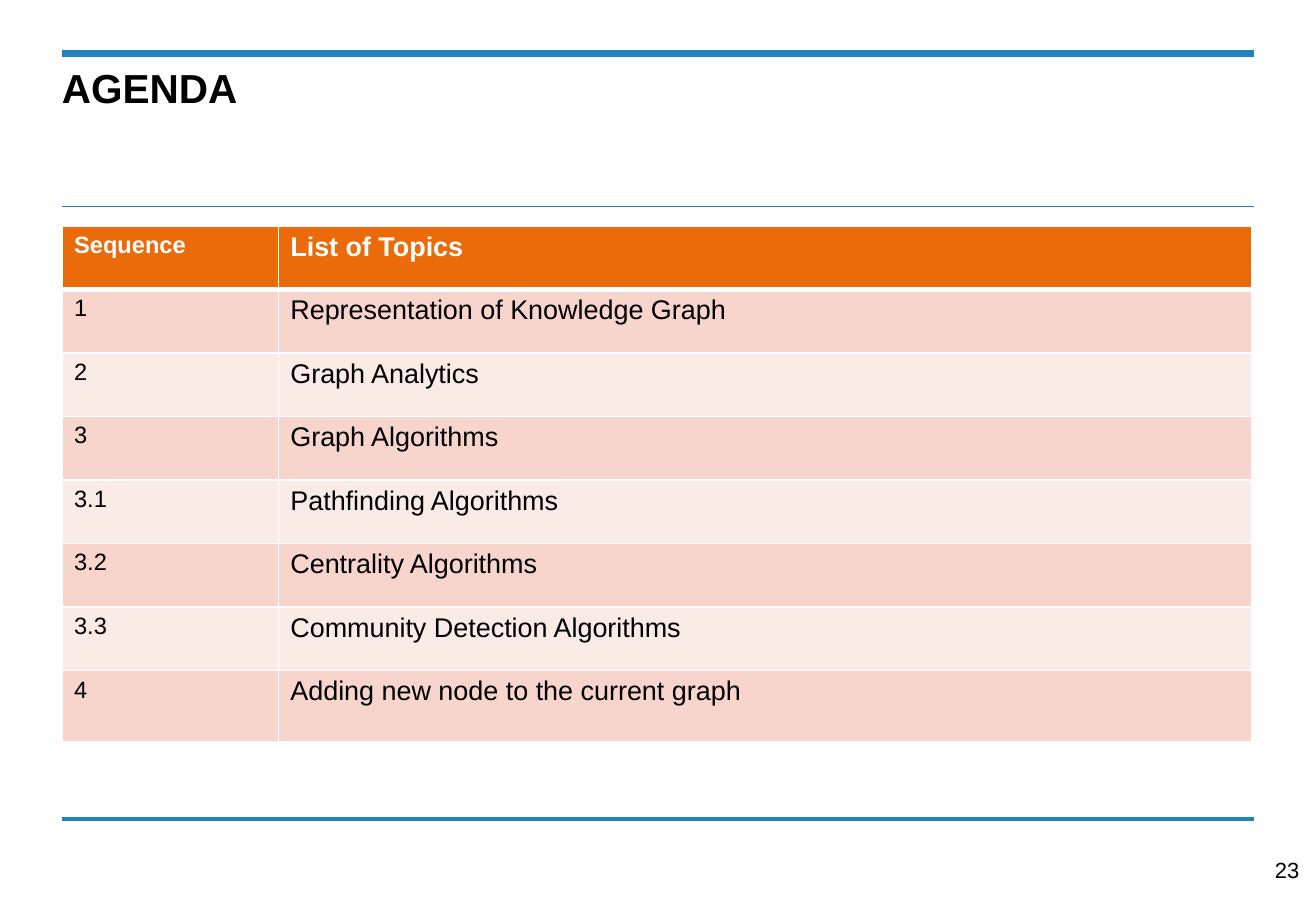
from pptx import Presentation
from pptx.dml.color import RGBColor
from pptx.enum.shapes import MSO_CONNECTOR as Link
from pptx.enum.text import MSO_ANCHOR as Anchor, PP_ALIGN as Align
from pptx.oxml.ns import qn
from pptx.util import Inches, Pt
from lxml.etree import SubElement

BLUE = RGBColor(0x22, 0x82, 0xC0)
ORANGE = RGBColor(0xEB, 0x6A, 0x0A)
ROSE = RGBColor(0xF7, 0xD4, 0xCC)
PALE = RGBColor(0xFB, 0xEB, 0xE7)
WHITE = RGBColor(0xFF, 0xFF, 0xFF)
BLACK = RGBColor(0, 0, 0)

TOPICS = [
    ("Sequence", "List of Topics"),
    ("1", "Representation of Knowledge Graph"),
    ("2", "Graph Analytics"),
    ("3", "Graph Algorithms"),
    ("3.1", "Pathfinding Algorithms"),
    ("3.2", "Centrality Algorithms"),
    ("3.3", "Community Detection Algorithms"),
    ("4", "Adding new node to the current graph"),
]


def set_font(para, size, color=BLACK, bold=False):
    font = para.font
    font.name, font.size, font.bold = "Arial", Pt(size), bold
    font.color.rgb = color


def add_rule(slide, left, top, width, weight):
    line = slide.shapes.add_connector(
        Link.STRAIGHT, Inches(left), Inches(top),
        Inches(left + width), Inches(top))
    line.line.color.rgb = BLUE
    line.line.width = Pt(weight)
    SubElement(line._element.spPr, qn("a:effectLst"))


def add_text(slide, box, text, size, inset=0, bold=False, align=Align.LEFT):
    frame = slide.shapes.add_textbox(*map(Inches, box)).text_frame
    frame.word_wrap = True
    frame.vertical_anchor = Anchor.TOP
    frame.margin_left = frame.margin_right = Inches(inset)
    frame.margin_top = frame.margin_bottom = Inches(inset)
    para = frame.paragraphs[0]
    para.text, para.alignment = text, align
    set_font(para, size, bold=bold)


def add_edges(cell, top, bottom):
    """Draw white cell borders; top and bottom are widths in points."""
    props = cell._tc.get_or_add_tcPr()
    for side, width in zip("LRTB", (1, 1, top, bottom)):
        edge = SubElement(props, qn(f"a:ln{side}"), w=str(Pt(width)))
        fill = SubElement(edge, qn("a:solidFill"))
        SubElement(fill, qn("a:srgbClr"), val=str(WHITE))


def add_topics(slide, left, top, width, height):
    first, last = 1.78, 0.59
    count = len(TOPICS)
    table = slide.shapes.add_table(
        count, 2, *map(Inches, (left, top, width, height))).table
    table.columns[0].width = Inches(first)
    table.columns[1].width = Inches(width - first)
    for i, texts in enumerate(TOPICS):
        head = i == 0
        tall = last if i == count - 1 else (height - last) / (count - 1)
        table.rows[i].height = Inches(tall)
        shade = ORANGE if head else (PALE, ROSE)[i % 2]
        for j, text in enumerate(texts):
            cell = table.cell(i, j)
            add_edges(cell, 3 if i == 1 else 1, 3 if head else 1)
            cell.fill.solid()
            cell.fill.fore_color.rgb = shade
            para = cell.text_frame.paragraphs[0]
            para.text = text
            set_font(para, (14, 16)[j], WHITE if head else BLACK, head)


def add_agenda(slide, left, top, width, height):
    for drop, weight in ((0, 4), (1.26, 1), (height, 2.5)):
        add_rule(slide, left, top + drop, width, weight)
    add_text(slide, (left, top + 0.08, width, 1.1), "AGENDA", 24, bold=True)
    add_topics(slide, left, top + 1.42, width - 0.02, 4.25)
    add_text(slide, (left + width - 0.18, top + height + 0.21, 0.65, 0.5),
             "23", 13, inset=0.1, align=Align.RIGHT)


def main():
    deck = Presentation()
    deck.slide_width, deck.slide_height = Inches(10.83), Inches(7.5)
    slide = deck.slides.add_slide(deck.slide_layouts[6])
    add_agenda(slide, 0.51, 0.44, 9.81, 6.3)
    deck.save("out.pptx")


if __name__ == "__main__":
    main()
